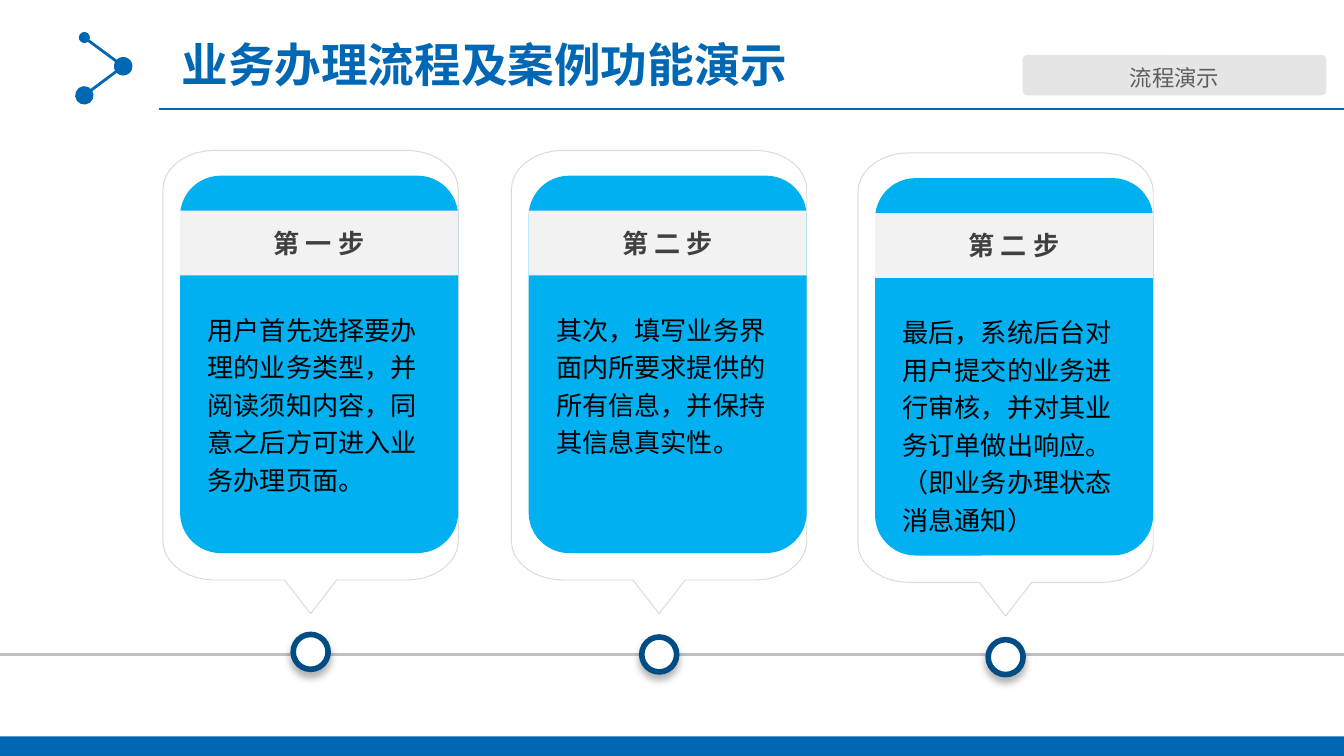
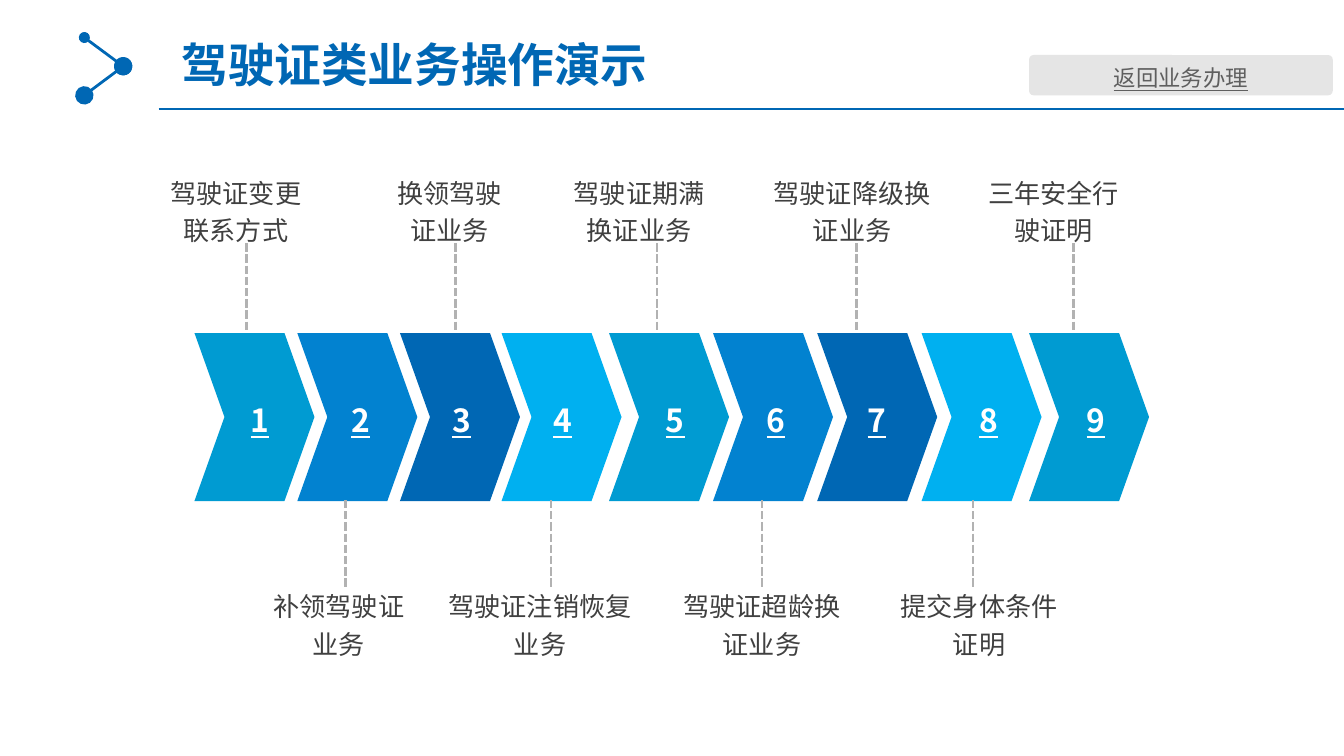
"""Build two slides on handling licence services: the steps and the list of operations."""
from dataclasses import dataclass
from math import cos, radians, sin
from typing import NamedTuple

from lxml import etree
from pptx import Presentation
from pptx.dml.color import RGBColor
from pptx.enum.dml import MSO_LINE
from pptx.enum.shapes import MSO_CONNECTOR, MSO_SHAPE
from pptx.enum.text import MSO_ANCHOR, MSO_AUTO_SIZE, PP_ALIGN
from pptx.oxml.ns import qn
from pptx.util import Pt

LEFT, CENTER = PP_ALIGN.LEFT, PP_ALIGN.CENTER
TOP, MIDDLE = MSO_ANCHOR.TOP, MSO_ANCHOR.MIDDLE
RECTANGLE, ROUNDED = MSO_SHAPE.RECTANGLE, MSO_SHAPE.ROUNDED_RECTANGLE
OVAL, CHEVRON = MSO_SHAPE.OVAL, MSO_SHAPE.CHEVRON
STRAIGHT = MSO_CONNECTOR.STRAIGHT
NO_AUTO_SIZE = MSO_AUTO_SIZE.NONE
DASH = MSO_LINE.SQUARE_DOT
TITLE_ONLY = 5
WIDTH, HEIGHT = 720, 405


@dataclass(frozen=True)
class Theme:
    title_font: str = "Arial"
    body_font: str = "Noto Sans CJK SC"
    blue: str = "0067B4"
    navy: str = "004D86"
    sky: str = "00B0F0"
    teal: str = "009BD2"
    azure: str = "0282D0"
    white: str = "FFFFFF"
    black: str = "000000"
    text: str = "404040"
    tag_text: str = "5F5F5F"
    tag_fill: str = "E5E5E5"
    header_fill: str = "F2F2F2"
    outline: str = "D9D9D9"
    axis: str = "C0C0C0"
    dash: str = "B2B2B2"
    title_size: float = 25
    number_size: float = 17
    body_size: float = 14
    tag_size: float = 12


class Step(NamedTuple):
    left: float
    top: float
    heading: str
    body: str


class Operation(NamedTuple):
    chevron_left: float
    number_left: float
    dash_x: float
    label_left: float
    label_width: float
    label: str


STEPS = [
    Step(87.3, 80.6, "第 一 步", "用户首先选择要办理的业务类型，并阅读须知内容，同意之后方可进入业务办理页面。"),
    Step(274, 80.6, "第 二 步", "其次，填写业务界面内所要求提供的所有信息，并保持其信息真实性。"),
    Step(459.6, 81.9, "第 二 步",
         "最后，系统后台对用户提交的业务进行审核，并对其业务订单做出响应。（即业务办理状态消息通知）"),
]

OPERATIONS = [
    Operation(104.2, 123.1, 132, 85, 82.8, "驾驶证变更联系方式"),
    Operation(159.3, 177.1, 185, 139, 85, "补领驾驶证业务"),
    Operation(214.3, 231.1, 244, 203.8, 74.2, "换领驾驶证业务"),
    Operation(268.7, 285.1, 295.2, 231.1, 116.6, "驾驶证注销恢复业务"),
    Operation(326.3, 345.6, 352, 297.4, 90, "驾驶证期满换证业务"),
    Operation(382, 399.6, 408.2, 357.1, 102.2, "驾驶证超龄换证业务"),
    Operation(437.8, 453.6, 459, 403.2, 106.6, "驾驶证降级换证业务"),
    Operation(493.7, 513.4, 521.3, 474.5, 100.1, "提交身体条件证明"),
    Operation(551.3, 571, 575.2, 517.7, 93.6, "三年安全行驶证明"),
]


class Deck:
    """Hold the theme and the current slide, and draw each kind of element."""

    def __init__(self, theme):
        self.theme = theme
        self.presentation = Presentation()
        self.presentation.slide_width = Pt(WIDTH)
        self.presentation.slide_height = Pt(HEIGHT)
        self.slide = None

    def add_slide(self, title):
        layout = self.presentation.slide_layouts[TITLE_ONLY]
        self.slide = self.presentation.slides.add_slide(layout)
        size = self.theme.title_size
        shape = self.slide.shapes.title
        shape.left, shape.top = Pt(90), Pt(15.8)
        shape.width, shape.height = Pt(len(title) * size + 14.4), Pt(39)
        self.fill_text(shape, title, size, self.theme.blue, bold=True,
                       font=self.theme.title_font)
        shape.text_frame.word_wrap = False
        self.line((45.2, 20.1), (66, 35.5), self.theme.blue, 1.5, ends=("med", "lg"))
        self.line((66, 35.5), (45.2, 51.1), self.theme.blue, 1.5, ends=("lg", "lg"))
        self.line((85, 58.3), (WIDTH, 58.3), self.theme.blue, 1)

    def fill_text(self, shape, text, size, color, bold=False, underline=None, align=LEFT,
                  anchor=TOP, spacing=1, insets=(7.2, 3.6), font=None):
        frame = shape.text_frame
        frame.word_wrap = True
        frame.auto_size = NO_AUTO_SIZE
        frame.vertical_anchor = anchor
        frame.margin_left = frame.margin_right = Pt(insets[0])
        frame.margin_top = frame.margin_bottom = Pt(insets[1])
        paragraph = frame.paragraphs[0]
        paragraph.alignment = align
        paragraph.line_spacing = spacing
        paragraph.space_before = Pt(0)
        run = paragraph.add_run()
        run.text = text
        run.font.name = font or self.theme.body_font
        run.font.size = Pt(size)
        run.font.bold = bold
        run.font.underline = underline
        run.font.color.rgb = RGBColor.from_string(color)
        properties = run._r.get_or_add_rPr()
        etree.SubElement(properties, qn("a:ea"), typeface=self.theme.body_font)

    def text(self, left, top, width, height, text, size, color, **style):
        shape = self.slide.shapes.add_textbox(Pt(left), Pt(top), Pt(width), Pt(height))
        self.fill_text(shape, text, size, color, **style)

    def paint(self, shape, fill, line=None, line_width=0.5):
        shape.shadow.inherit = False
        shape.fill.solid()
        shape.fill.fore_color.rgb = RGBColor.from_string(fill)
        if line:
            shape.line.color.rgb = RGBColor.from_string(line)
            shape.line.width = Pt(line_width)
        else:
            shape.line.fill.background()

    def shape(self, kind, left, top, width, height, fill, adjustment=None, **outline):
        shape = self.slide.shapes.add_shape(kind, Pt(left), Pt(top), Pt(width), Pt(height))
        if adjustment is not None:
            shape.adjustments[0] = adjustment
        self.paint(shape, fill, **outline)
        return shape

    def line(self, start, end, color, width, dash=None, ends=None):
        points = [Pt(value) for value in (*start, *end)]
        connector = self.slide.shapes.add_connector(STRAIGHT, *points)
        connector.line.color.rgb = RGBColor.from_string(color)
        connector.line.width = Pt(width)
        if dash:
            connector.line.dash_style = dash
        if ends:
            outline = connector.line._get_or_add_ln()
            for tag, size in zip(("a:headEnd", "a:tailEnd"), ends):
                etree.SubElement(outline, qn(tag), type="oval", w=size, len=size)
        etree.SubElement(connector._element.spPr, qn("a:effectLst"))

    def tag(self, left, text, underline=None):
        shape = self.shape(ROUNDED, left, 29.5, 162.7, 21.6, self.theme.tag_fill, 0.115)
        self.fill_text(shape, text, self.theme.tag_size, self.theme.tag_text,
                       underline=underline, align=CENTER, anchor=MIDDLE, spacing=1.2,
                       insets=(5.8, 2.9))

    def marker(self, left, top):
        shape = self.shape(OVAL, left, top, 18.7, 18.7, self.theme.white,
                           line=self.theme.navy, line_width=3)
        effects = shape._element.spPr.find(qn("a:effectLst"))
        shadow = etree.SubElement(effects, qn("a:outerShdw"), blurRad=str(Pt(4)),
                                  dist=str(Pt(3)), dir="5400000", rotWithShape="0")
        color = etree.SubElement(shadow, qn("a:srgbClr"), val=self.theme.black)
        etree.SubElement(color, qn("a:alpha"), val="29000")

    def callout(self, left, top):
        width, height, radius_x, radius_y = 158.2, 230.2, 27.7, 20.9
        right, bottom, middle = left + width, top + height, left + width / 2

        def corner(x, y, start):
            angles = [radians(start + step) for step in range(0, 91, 10)]
            return [(x + radius_x * cos(a), y + radius_y * sin(a)) for a in angles]

        near_x, far_x = left + radius_x, right - radius_x
        near_y, far_y = top + radius_y, bottom - radius_y
        pointer = [(middle + 14, bottom), (middle, bottom + 18), (middle - 14, bottom)]
        points = (corner(far_x, near_y, -90) + corner(far_x, far_y, 0) + pointer
                  + corner(near_x, far_y, 90) + corner(near_x, near_y, 180))
        points = [(Pt(x), Pt(y)) for x, y in points]
        builder = self.slide.shapes.build_freeform(*points[0])
        builder.add_line_segments(points[1:])
        self.paint(builder.convert_to_shape(), self.theme.white, self.theme.outline)

    def step(self, step):
        theme = self.theme
        left, top = step.left, step.top
        self.callout(left, top)
        self.shape(ROUNDED, left + 9.2, top + 13.5, 149, 202.2, theme.sky, 0.146)
        header = self.shape(RECTANGLE, left + 9.2, top + 32.3, 149, 34.7, theme.header_fill)
        self.fill_text(header, step.heading, theme.body_size, theme.text, bold=True,
                       align=CENTER, anchor=MIDDLE)
        self.text(left + 16.8, top + 80.7, 134, 128, step.body, theme.body_size,
                  theme.black, spacing=1.2)

    def operation(self, index, operation):
        theme = self.theme
        fills = (theme.teal, theme.azure, theme.blue, theme.sky)
        self.shape(CHEVRON, operation.chevron_left, 178.4, 64.3, 90, fills[index % 4], 0.25)
        self.text(operation.number_left, 211.7, 32.4, 27.4, str(index + 1), theme.number_size,
                  theme.white, bold=True, underline=True, align=CENTER, insets=(5, 2.9))
        dash_top, label_top = (267.8, 310.3) if index % 2 else (130.3, 88.6)
        self.line((operation.dash_x, dash_top), (operation.dash_x, dash_top + 48),
                  theme.dash, 1.5, dash=DASH)
        self.text(operation.label_left, label_top, operation.label_width, 45.4,
                  operation.label, theme.body_size, theme.text, align=CENTER,
                  spacing=1.2, insets=(5.8, 2.9))


def main():
    theme = Theme()
    deck = Deck(theme)

    deck.add_slide("业务办理流程及案例功能演示")
    deck.shape(RECTANGLE, 0, 394.5, WIDTH, 10.5, theme.blue)
    deck.line((0, 350.8), (WIDTH, 350.8), theme.axis, 1.5)
    for index, step in enumerate(STEPS):
        deck.marker(step.left + 69.8, 339.9 + 1.4 * index)
        deck.step(step)
    deck.tag(547.9, "流程演示")

    deck.add_slide("驾驶证类业务操作演示")
    for index, operation in enumerate(OPERATIONS):
        deck.operation(index, operation)
    deck.tag(551.3, "返回业务办理", underline=True)

    deck.presentation.save("out.pptx")


if __name__ == "__main__":
    main()
